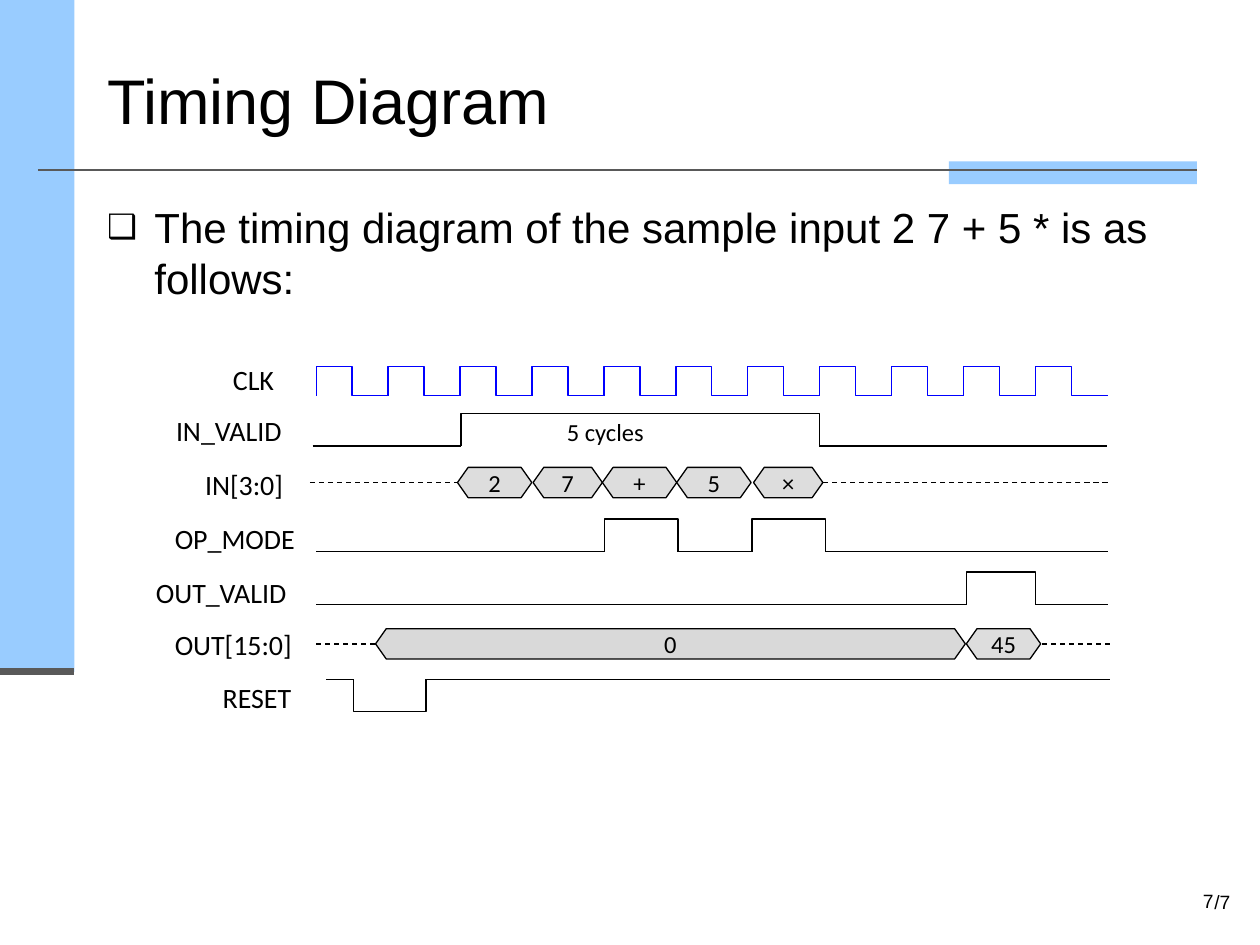
from lxml import etree
from pptx import Presentation
from pptx.dml.color import RGBColor
from pptx.enum.dml import MSO_LINE
from pptx.enum.shapes import MSO_CONNECTOR, MSO_SHAPE
from pptx.enum.text import MSO_ANCHOR, MSO_AUTO_SIZE, PP_ALIGN
from pptx.oxml.ns import qn
from pptx.util import Pt

STRAIGHT = MSO_CONNECTOR.STRAIGHT
RECTANGLE = MSO_SHAPE.RECTANGLE
DASH = MSO_LINE.DASH
LEFT, CENTER, RIGHT = PP_ALIGN.LEFT, PP_ALIGN.CENTER, PP_ALIGN.RIGHT
TOP, MIDDLE = MSO_ANCHOR.TOP, MSO_ANCHOR.MIDDLE

COLORS = {
    "band": "99CCFF",
    "rule": "595959",
    "text": "000000",
    "signal": "000000",
    "clock": "0000FF",
    "value": "DDDDDD",
    "idle": "D9D9D9",
}


def color(name):
    return RGBColor.from_string(COLORS[name])


def place(shape, box):
    shape.left, shape.top, shape.width, shape.height = map(Pt, box)


def write(shape, text, size, font, align=LEFT, anchor=TOP):
    frame = shape.text_frame
    frame.text = text
    frame.vertical_anchor = anchor
    paragraph = frame.paragraphs[0]
    paragraph.alignment = align
    run_font = paragraph.runs[0].font
    run_font.size, run_font.name = Pt(size), font
    run_font.color.rgb = color("text")
    return paragraph


def add_text(slide, box, text, size, font, align=LEFT, anchor=TOP, wrap=False):
    shape = slide.shapes.add_textbox(*map(Pt, box))
    shape.text_frame.word_wrap = wrap
    write(shape, text, size, font, align, anchor)


def add_line(slide, start, end, line_color="signal", width=0.75, dash=None):
    line = slide.shapes.add_connector(STRAIGHT, *map(Pt, (*start, *end)))
    line.line.color.rgb = color(line_color)
    line.line.width = Pt(width)
    if dash:
        line.line.dash_style = dash
    etree.SubElement(line.element.spPr, qn("a:effectLst"))


def add_outline(slide, points, line_color="signal", fill=None):
    points = [(Pt(x), Pt(y)) for x, y in points]
    builder = slide.shapes.build_freeform(*points[0])
    builder.add_line_segments(points[1:], close=fill is not None)
    shape = builder.convert_to_shape()
    shape.shadow.inherit = False
    shape.line.color.rgb = color(line_color)
    shape.line.width = Pt(0.75)
    if fill:
        shape.fill.solid()
        shape.fill.fore_color.rgb = color(fill)
    else:
        shape.fill.background()
    return shape


def draw_frame(slide, box):
    """Side band, title rule and its accent."""
    left, top, width, height = box
    band_width, band_height, rule_y = 42.5, 384, top + 97.2
    accent = (left + 542.2, rule_y - 5, 141.8, 13)
    for part in (accent, (left, top, band_width, band_height)):
        shape = slide.shapes.add_shape(RECTANGLE, *map(Pt, part))
        shape.shadow.inherit = False
        shape.fill.solid()
        shape.fill.fore_color.rgb = color("band")
        shape.line.fill.background()
    foot = top + band_height
    add_line(slide, (left, foot), (left + band_width, foot), "rule", 4)
    add_line(slide, (left + 21.6, rule_y), (left + width - 36, rule_y), "rule", 1.5)


def fill_title(slide, box):
    title = slide.shapes.title
    place(title, box)
    title.text_frame.auto_size = MSO_AUTO_SIZE.NONE
    write(title, "Timing Diagram", 36, "Arial", anchor=MIDDLE)


def fill_body(slide, box):
    body = slide.placeholders[1]
    place(body, box)
    body.text_frame.auto_size = MSO_AUTO_SIZE.NONE
    text = "The timing diagram of the sample input 2 7 + 5 * is as follows:"
    paragraph = write(body, text, 24, "Arial")
    paragraph.space_before = Pt(4.8)
    properties = paragraph._p.get_or_add_pPr()
    properties.set("marL", str(Pt(27)))
    properties.set("indent", str(Pt(-27)))
    for tag, key, value in (
        ("a:buSzPct", "val", "80000"),
        ("a:buFont", "typeface", "Arial"),
        ("a:buChar", "char", "❑"),
    ):
        etree.SubElement(properties, qn(tag)).set(key, value)


def draw_page_number(slide, box):
    left, top, width, height = box
    add_text(slide, (left, top, 184.3, height), "7", 11, "Arial", RIGHT, MIDDLE, True)
    add_text(slide, (left + 170.6, top + 5, 23.8, 20.9), "/7", 11, "Arial")


def draw_clock(slide, box, cycles):
    left, top, width, height = box
    period, bottom = width / cycles, top + height
    for cycle in range(cycles):
        start = left + cycle * period
        middle = start + period / 2
        add_outline(slide, [(start, bottom), (start, top), (middle, top),
                            (middle, bottom), (start + period, bottom)], "clock")


def draw_signal(slide, box, edges, active_low=False):
    """Resting level between the edges, with a pulse at every second gap."""
    left, top, width, height = box
    rest, active = (top, top + height) if active_low else (top + height, top)
    xs = [left + edge for edge in edges]
    for start, end in zip(xs[::2], xs[1::2]):
        add_line(slide, (start, rest), (end, rest))
    for start, end in zip(xs[1:-1:2], xs[2::2]):
        add_outline(slide, [(start, rest), (start, active), (end, active), (end, rest)])


def draw_bus(slide, box, ends, cells):
    """Dashed idle line on both sides of hexagonal value cells."""
    left, top, width, height = box
    middle, bottom, slant = top + height / 2, top + height, 6.1
    outer = (cells[0][1], cells[-1][1] + cells[-1][2])
    for start, end in zip(ends, outer):
        add_line(slide, (left + start, middle), (left + end, middle), dash=DASH)
    for text, offset, cell_width, fill in cells:
        start = left + offset
        end = start + cell_width
        cell = add_outline(slide, [
            (start, middle), (start + slant, top), (end - slant, top),
            (end, middle), (end - slant, bottom), (start + slant, bottom)], fill=fill)
        frame = cell.text_frame
        frame.margin_left = frame.margin_right = 0
        frame.margin_top = frame.margin_bottom = 0
        write(cell, text, 14, "Calibri", CENTER, MIDDLE)


def draw_timing(slide, box):
    left, top, width, height = box
    # Signal names: text, offset from the box, width
    labels = [
        ("CLK", 44, 0, 38), ("IN_VALID", 11.5, 28.8, 75.6),
        ("IN[3:0]", 28.1, 59.7, 59.8), ("OP_MODE", 10.8, 90.7, 84.2),
        ("OUT_VALID", 0, 121.7, 90), ("OUT[15:0]", 10.8, 151.2, 82.1),
        ("RESET", 38.2, 181.4, 54.7),
    ]
    for text, x, y, label_width in labels:
        add_text(slide, (left + x, top + y, label_width, 26.6), text, 16, "Calibri")

    def row(y, row_height):
        return left + 98, top + y, width - 98, row_height

    clock_left, clock_top, _, clock_height = row(5.7, 16.6)
    draw_clock(slide, (clock_left + 0.7, clock_top, 452.2, clock_height), 11)
    draw_signal(slide, row(32.4, 18.7), [-1.4, 83.5, 288.3, 452.5])
    add_text(slide, (left + 234.8, top + 30.7, 59, 24.5), "5 cycles", 14, "Calibri")
    draw_bus(slide, row(63.3, 17.3), (-2.9, 452.9), [
        ("2", 81.4, 42.5, "value"), ("7", 124.6, 39.6, "value"),
        ("+", 164.2, 42.5, "value"), ("5", 206.7, 42.5, "value"),
        ("×", 250.6, 39.6, "value")])
    draw_signal(slide, row(92.8, 18.7), [0.7, 165.6, 207.4, 249.8, 291.6, 452.9])
    draw_signal(slide, row(123.1, 18.7), [0.7, 372.2, 411.8, 452.9])
    draw_bus(slide, row(155.5, 17.3), (0.7, 454.3), [
        ("0", 34.6, 337, "idle"), ("45", 372.2, 42.5, "value")])
    draw_signal(slide, row(184.3, 18.7), [6.5, 22, 63.4, 454.3], active_low=True)


def main():
    presentation = Presentation()
    presentation.slide_width, presentation.slide_height = Pt(720), Pt(540)
    slide = presentation.slides.add_slide(presentation.slide_layouts[1])
    draw_frame(slide, (0, 0, 720, 540))
    fill_title(slide, (54, 21.6, 630, 70.6))
    fill_body(slide, (54, 111.6, 630, 370.8))
    draw_page_number(slide, (516.3, 500.4, 194.4, 28.8))
    draw_timing(slide, (82, 203.8, 552.3, 208))
    presentation.save("out.pptx")


if __name__ == "__main__":
    main()
